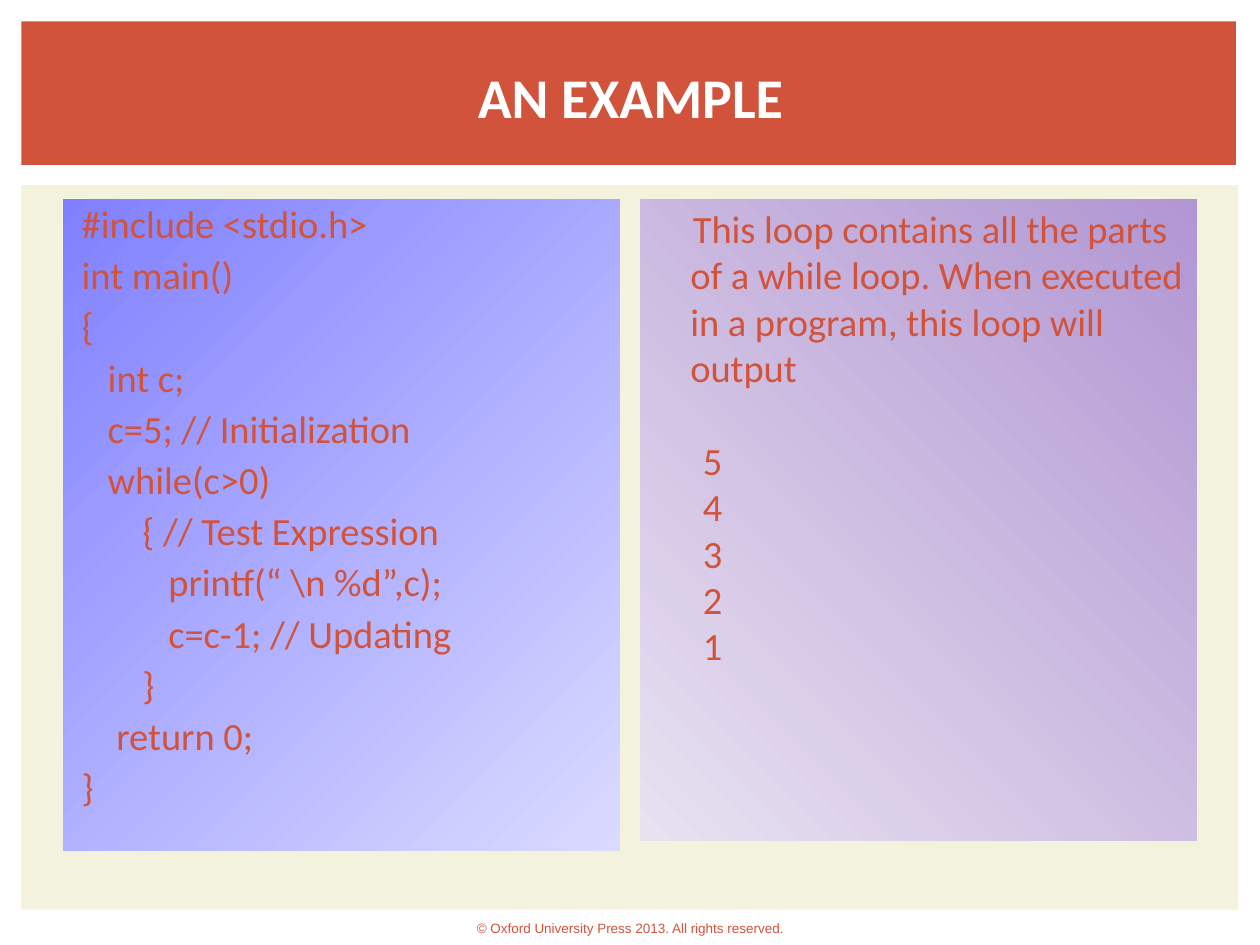
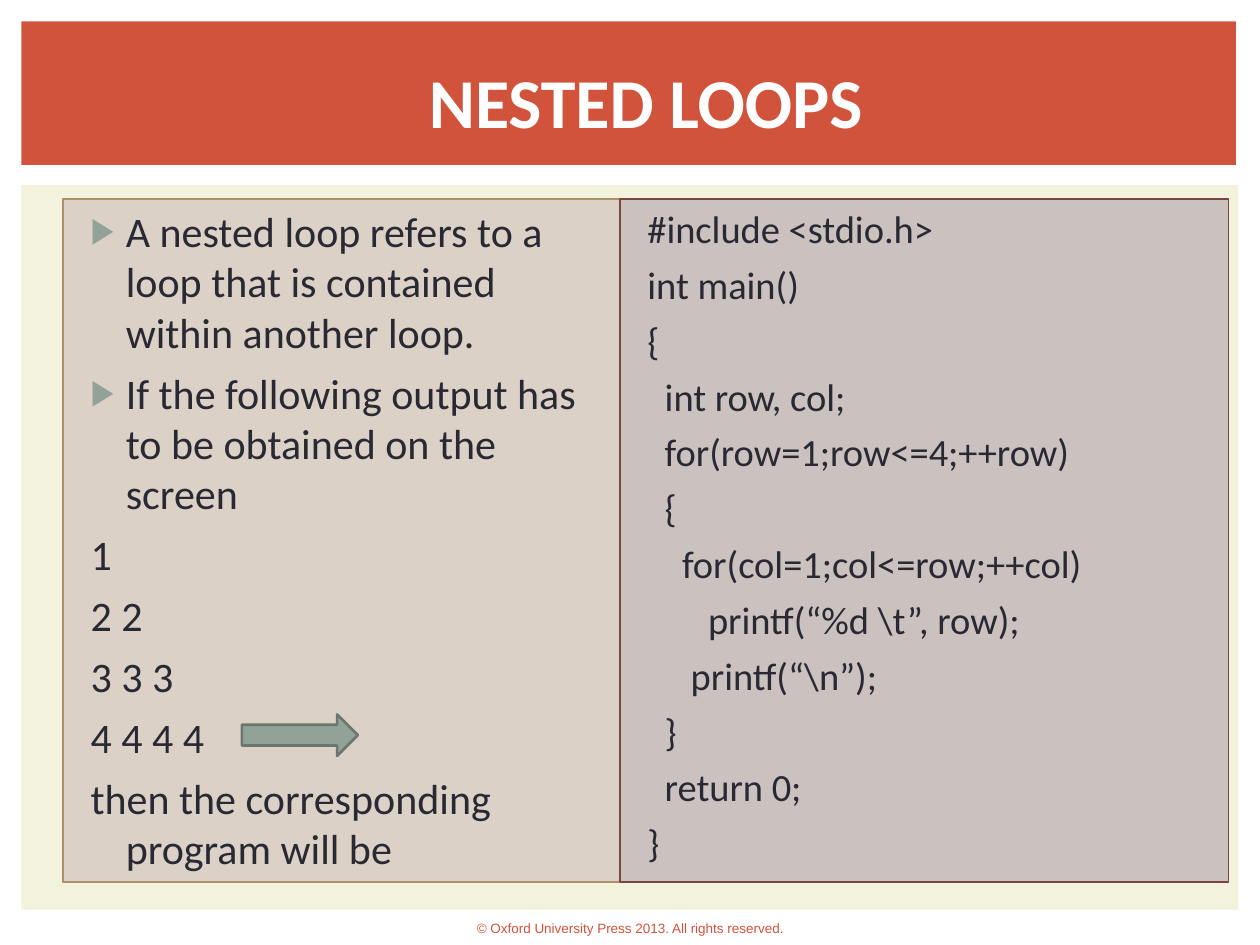
from dataclasses import dataclass

from lxml.etree import SubElement
from pptx import Presentation
from pptx.dml.color import RGBColor
from pptx.enum.shapes import MSO_SHAPE
from pptx.enum.text import MSO_ANCHOR, PP_ALIGN
from pptx.oxml.ns import qn
from pptx.util import Inches, Pt


@dataclass(frozen=True)
class Theme:
    red: str = "D2533C"
    cream: str = "F3F2DC"
    white: str = "FFFFFF"
    ink: str = "292934"
    sage: str = "93A299"
    moss: str = "6B766F"
    tan: str = "DBD1C6"
    gold: str = "AD8F67"
    mauve: str = "CBC1BF"
    brown: str = "79463D"
    blues: tuple = ("8080FF", "DADAFF")
    purples: tuple = ("B196D2", "E7E1F0")
    body: str = "Calibri"
    small: str = "Arial"
    code_size: float = 22
    list_size: float = 24
    foot_size: float = 7.7
    edge: float = 0.79


T = Theme()
LEFT, TOP, WIDTH = 0.5, 1.58, 4.42
RIGHTS = "© Oxford University Press 2013. All rights reserved."

LOOP_CODE = """#include <stdio.h>
int main()
{
   int c;
   c=5; // Initialization
   while(c>0)
       { // Test Expression
          printf(“ \\n %d”,c);
          c=c-1; // Updating
       }
    return 0;
}"""

NESTED_CODE = """#include <stdio.h>
int main()
{
  int row, col;
  for(row=1;row<=4;++row)
  {
    for(col=1;col<=row;++col)
       printf(“%d \\t”, row);
     printf(“\\n”);
  }
  return 0;
}"""

LOOP_NOTE = ("This loop contains all the parts of a while loop. "
             "When executed in a program, this loop will output")

NESTED_POINTS = [
    "A nested loop refers to a loop that is contained within another loop.",
    "If the following output has to be obtained on the screen",
]


def rgb(code):
    return RGBColor.from_string(code)


def apply(target, values):
    for name, value in values.items():
        setattr(target, name, value)


def font_of(size, color, name=T.body, bold=False):
    return {"size": Pt(size), "name": name, "bold": bold}, rgb(color)


def indent(para, margin, first):
    props = para._p.get_or_add_pPr()
    props.set("marL", str(Inches(margin)))
    props.set("indent", str(Inches(first)))


def bullet(para):
    props = para._p.get_or_add_pPr()
    tint = SubElement(props, qn("a:buClr"))
    SubElement(tint, qn("a:srgbClr"), val=T.sage)
    SubElement(props, qn("a:buSzPct"), val="85000")
    SubElement(props, qn("a:buFont"), typeface=T.small)
    SubElement(props, qn("a:buChar"), char="▶")


def write(frame, text, font, **layout):
    """Fill the empty first paragraph of the frame, or add one after it."""
    para = frame.paragraphs[0]
    if para.runs:
        para = frame.add_paragraph()
    else:
        layout.pop("space_before", None)
    apply(para, {"alignment": PP_ALIGN.LEFT, **layout})
    run = para.add_run()
    run.text = text
    values, color = font
    apply(run.font, values)
    run.font.color.rgb = color
    return para


def shape(slide, box, fill, line=None, kind=MSO_SHAPE.RECTANGLE, angle=0):
    """Draw a shape; a pair of fill colours makes a clockwise gradient."""
    item = slide.shapes.add_shape(kind, *map(Inches, box))
    item.shadow.inherit = False
    if isinstance(fill, tuple):
        item.fill.gradient()
        item.fill.gradient_angle = 360 - angle
        for stop, color in zip(item.fill.gradient_stops, fill):
            stop.color.rgb = rgb(color)
    else:
        item.fill.solid()
        item.fill.fore_color.rgb = rgb(fill)
    if line:
        color, width = line
        item.line.color.rgb = rgb(color)
        item.line.width = Pt(width)
    else:
        item.line.fill.background()
    return item


def panel(slide, box, fill, **look):
    frame = shape(slide, box, fill, **look).text_frame
    apply(frame, {"word_wrap": True, "vertical_anchor": MSO_ANCHOR.TOP})
    return frame


def label(slide, box, text, font, **layout):
    frame = slide.shapes.add_textbox(*map(Inches, box)).text_frame
    apply(frame, {"word_wrap": True, "vertical_anchor": MSO_ANCHOR.MIDDLE})
    write(frame, text, font, alignment=PP_ALIGN.CENTER, **layout)


def code(frame, text, color, margin, first, **layout):
    for row in text.splitlines():
        para = write(frame, row, font_of(T.code_size, color),
                     space_before=Pt(5.5), **layout)
        indent(para, margin, first)


def base(deck, title, box, size):
    """Add a slide with its bands, title and footer."""
    slide = deck.slides.add_slide(deck.slide_layouts[6])
    shape(slide, (0.17, 1.47, 9.66, 5.75), T.cream)
    shape(slide, (0.17, 0.17, 9.64, 1.14), T.red)
    label(slide, box, title, font_of(size, T.white, bold=True))
    label(slide, (0, 7.25, 10, 0.25), RIGHTS,
          font_of(T.foot_size, T.red, T.small), line_spacing=0.8)
    return slide


def example(deck):
    slide = base(deck, "AN EXAMPLE", (0.42, 0.21, 9.17, 1.1), 32)
    frame = panel(slide, (LEFT, TOP, WIDTH, 5.17), T.blues, angle=45)
    code(frame, LOOP_CODE, T.red, 0.3, -0.25, line_spacing=0.9)

    frame = panel(slide, (5.08, TOP, WIDTH, 5.09), T.purples, angle=135)
    font = font_of(T.code_size, T.red)
    indent(write(frame, LOOP_NOTE, font), 0.3, 0.02)
    for count in range(5, 0, -1):
        gap = Pt(27 if count == 5 else 0)
        indent(write(frame, str(count), font, space_before=gap), 0.4, 0)


def nested(deck):
    slide = base(deck, "NESTED LOOPS", (0.5, 0.17, 9.25, 1.25), 40)
    frame = panel(slide, (LEFT, TOP, WIDTH, 5.42), T.tan,
                  line=(T.gold, T.edge))
    rows = [" ".join([str(n)] * n) for n in range(1, 5)]
    lines = NESTED_POINTS + rows + ["then the corresponding program will be"]
    for text in lines:
        para = write(frame, text, font_of(T.list_size, T.ink),
                     space_before=Pt(6))
        indent(para, 0.4, -0.28)
        if text in NESTED_POINTS:
            bullet(para)

    frame = panel(slide, (LEFT + WIDTH, TOP, 4.83, 5.42), T.mauve,
                  line=(T.brown, T.edge))
    code(frame, NESTED_CODE, T.ink, 0.4, -0.28)
    shape(slide, (1.92, 5.67, 0.92, 0.33), T.sage, line=(T.moss, 1.5),
          kind=MSO_SHAPE.RIGHT_ARROW)


def main():
    deck = Presentation()
    apply(deck, {"slide_width": Inches(10), "slide_height": Inches(7.5)})
    example(deck)
    nested(deck)
    deck.save("out.pptx")


if __name__ == "__main__":
    main()
